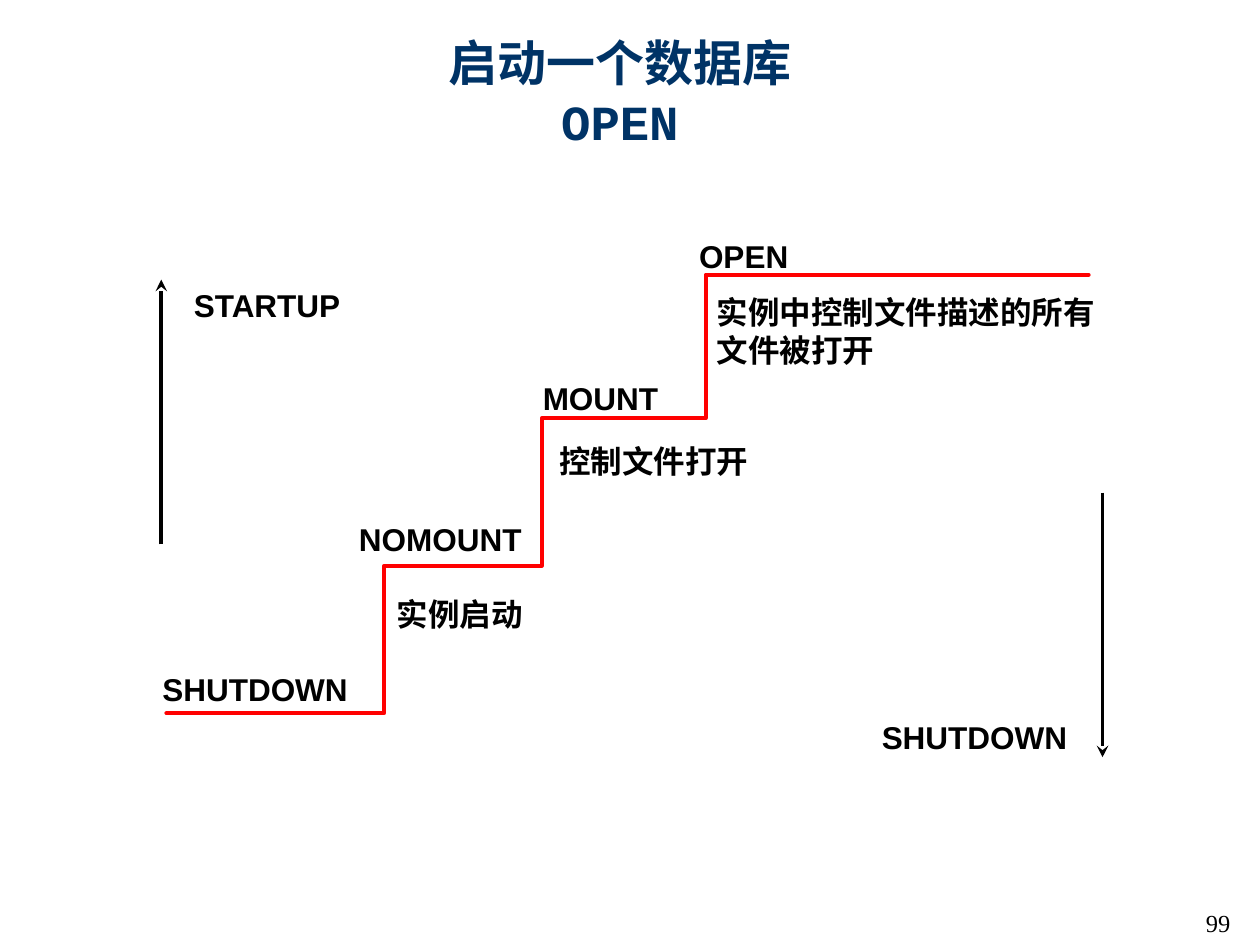
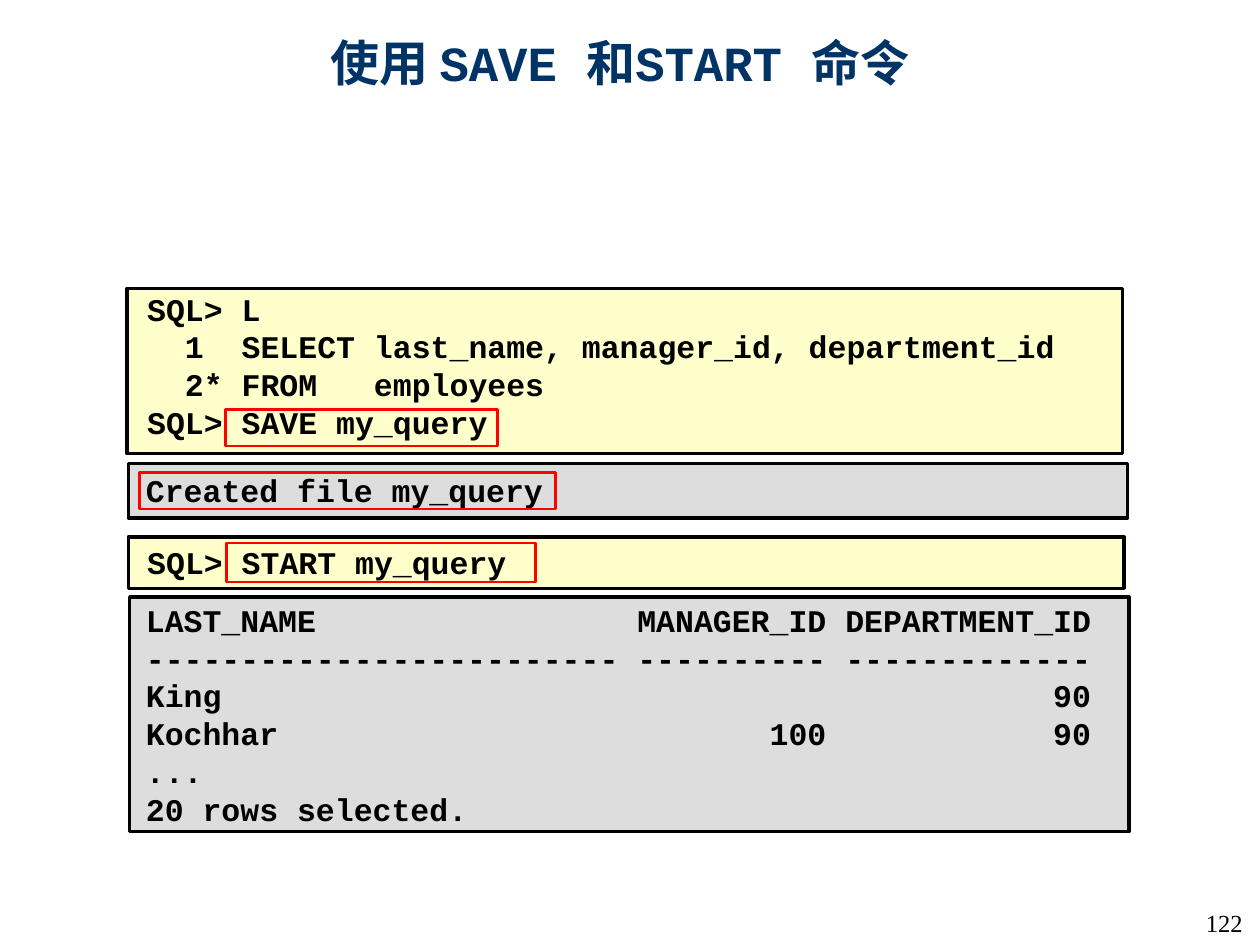
from lxml import etree
from pptx import Presentation
from pptx.dml.color import RGBColor
from pptx.enum.shapes import MSO_CONNECTOR, MSO_SHAPE
from pptx.enum.text import MSO_ANCHOR, MSO_AUTO_SIZE, PP_ALIGN
from pptx.oxml import parse_xml
from pptx.oxml.ns import qn
from pptx.util import Inches, Pt

RECTANGLE = MSO_SHAPE.RECTANGLE
STRAIGHT = MSO_CONNECTOR.STRAIGHT
TOP = MSO_ANCHOR.TOP
CENTER = PP_ALIGN.CENTER
NO_AUTOFIT = MSO_AUTO_SIZE.NONE
TITLE_ONLY = 5

SANS, MONO, SERIF = "Arial", "Courier New", "Times New Roman"
NAVY, BLACK, RED = "003366", "000000", "FF0000"
CODE_FILL, RESULT_FILL = "FFFFCC", "DDDDDD"

TEXT_SHADOW = (
    '<a:effectLst xmlns:a="http://schemas.openxmlformats.org/drawingml/2006/main">'
    '<a:outerShdw dist="17961" dir="2700000"><a:srgbClr val="C0C0C0"/></a:outerShdw>'
    "</a:effectLst>"
)


def color(value):
    return RGBColor.from_string(value)


def style_font(font, name, size, value, bold=True):
    font.name, font.size, font.bold = name, Pt(size), bold
    font.color.rgb = color(value)


def set_line(line, value, width):
    line.color.rgb = color(value)
    line.width = Pt(width)


def add_text(slide, lines, left, top, width, height, font=SANS, wrap=True):
    box = slide.shapes.add_textbox(Inches(left), Inches(top), Inches(width), Inches(height))
    frame = box.text_frame
    frame.word_wrap = wrap
    frame.text = "\n".join(lines)
    for para in frame.paragraphs:
        style_font(para.font, font, 18, BLACK)
    return frame


def add_title(slide, spans):
    """Fill the title from (text, font) pairs; a pair of None breaks the line."""
    title = slide.shapes.title
    title.left, title.top = Inches(0.67), Inches(0.21)
    title.width, title.height = Inches(8.5), Inches(0.58)
    frame = title.text_frame
    frame.auto_size, frame.vertical_anchor = NO_AUTOFIT, TOP
    para = frame.paragraphs[0]
    para.alignment = CENTER
    for text, font in spans:
        if text is None:
            para.add_line_break()
            continue
        span = para.add_run()
        span.text = text
        style_font(span.font, font, 28, NAVY)
        fill = span.font._element.find(qn("a:solidFill"))
        fill.addnext(parse_xml(TEXT_SHADOW))


def add_page_number(slide, number):
    frame = add_text(slide, [str(number)], 9.57, 7.21, 0.33, 0.23, wrap=False)
    frame.margin_left = frame.margin_right = frame.margin_top = frame.margin_bottom = 0
    style_font(frame.paragraphs[0].font, SERIF, 14, BLACK, bold=False)


def add_page(deck, title_spans, number):
    slide = deck.slides.add_slide(deck.slide_layouts[TITLE_ONLY])
    add_title(slide, title_spans)
    add_page_number(slide, number)
    return slide


def add_vertical_arrow(slide, x, start, end):
    arrow = slide.shapes.add_connector(
        STRAIGHT, Inches(x), Inches(start), Inches(x), Inches(end))
    set_line(arrow.line, BLACK, 2.25)
    etree.SubElement(arrow.line._get_or_add_ln(), qn("a:tailEnd"), type="stealth")
    etree.SubElement(arrow._element.spPr, qn("a:effectLst"))


def add_staircase(slide, edges, levels):
    """Draw one tread per level, running between neighbouring edges."""
    points = []
    for left, right, level in zip(edges, edges[1:], levels):
        points += [(Inches(left), Inches(level)), (Inches(right), Inches(level))]
    builder = slide.shapes.build_freeform(*points[0])
    builder.add_line_segments(points[1:], close=False)
    stairs = builder.convert_to_shape()
    stairs.shadow.inherit = False
    stairs.fill.background()
    set_line(stairs.line, RED, 2.25)
    stairs.line._get_or_add_ln().set("cap", "rnd")


def add_rectangle(slide, left, top, width, height, line, line_width, fill=None):
    box = slide.shapes.add_shape(
        RECTANGLE, Inches(left), Inches(top), Inches(width), Inches(height))
    box.shadow.inherit = False
    set_line(box.line, line, line_width)
    if fill:
        box.fill.solid()
        box.fill.fore_color.rgb = color(fill)
    else:
        box.fill.background()


def result_row(last_name, manager_id, department_id):
    return f"{last_name:<25} {manager_id:>10} {department_id:>13}"


def build_startup_page(deck):
    slide = add_page(deck, [("启动一个数据库", SANS), (None, None), ("OPEN", MONO)], 99)
    add_vertical_arrow(slide, 8.75, 3.91, 6.01)
    add_vertical_arrow(slide, 1.28, 4.32, 2.22)
    add_staircase(slide, [1.32, 3.05, 4.3, 5.6, 8.64], [5.66, 4.49, 3.32, 2.18])
    labels = [
        ("OPEN", 5.45, 1.83, 1.3, 0.4),
        ("MOUNT", 4.21, 2.96, 1.63, 0.4),
        ("NOMOUNT", 2.75, 4.08, 1.58, 0.4),
        ("SHUTDOWN", 1.19, 5.27, 1.81, 0.4),
        ("实例中控制文件描述的所有文件被打开", 5.59, 2.28, 3.22, 0.7),
        ("控制文件打开", 4.34, 3.46, 2.05, 0.4),
        ("实例启动", 3.05, 4.67, 1.89, 0.4),
        ("STARTUP", 1.44, 2.22, 1.38, 0.4),
        ("SHUTDOWN", 6.9, 5.65, 1.67, 0.4),
    ]
    for text, *place in labels:
        add_text(slide, [text], *place)


def build_save_start_page(deck):
    title = [("使用 ", SANS), ("SAVE ", MONO), ("和", SANS), ("START ", MONO), ("命令", SANS)]
    slide = add_page(deck, title, 122)

    query = [
        "SQL> L",
        "  1  SELECT last_name, manager_id, department_id",
        "  2* FROM   employees",
        "SQL> SAVE my_query",
    ]
    result = [
        result_row("LAST_NAME", "MANAGER_ID", "DEPARTMENT_ID"),
        result_row("-" * 25, "-" * 10, "-" * 13),
        result_row("King", "", 90),
        result_row("Kochhar", 100, 90),
        "...",
        "20 rows selected.",
    ]
    panels = [
        (CODE_FILL, (1.01, 2.29, 7.9, 1.31), query, (1.07, 2.25, 7.4, 1.3)),
        (RESULT_FILL, (1.02, 3.68, 7.93, 0.43), ["Created file my_query"],
         (1.06, 3.69, 3.35, 0.4)),
        (CODE_FILL, (1.02, 4.26, 7.9, 0.41), ["SQL> START my_query"],
         (1.07, 4.26, 3.05, 0.4)),
        (RESULT_FILL, (1.03, 4.74, 7.93, 1.86), result, (1.06, 4.72, 7.7, 1.9)),
    ]
    for fill, panel_place, lines, text_place in panels:
        add_rectangle(slide, *panel_place, BLACK, 2, fill)
        add_text(slide, lines, *text_place, font=MONO, wrap=False)

    highlights = [
        (1.79, 3.25, 2.16, 0.29),
        (1.11, 3.75, 3.3, 0.29),
        (1.8, 4.31, 2.45, 0.31),
    ]
    for place in highlights:
        add_rectangle(slide, *place, RED, 1.5)


def main():
    deck = Presentation()
    deck.slide_width, deck.slide_height = Inches(10), Inches(7.5)
    build_startup_page(deck)
    build_save_start_page(deck)
    deck.save("out.pptx")


if __name__ == "__main__":
    main()
